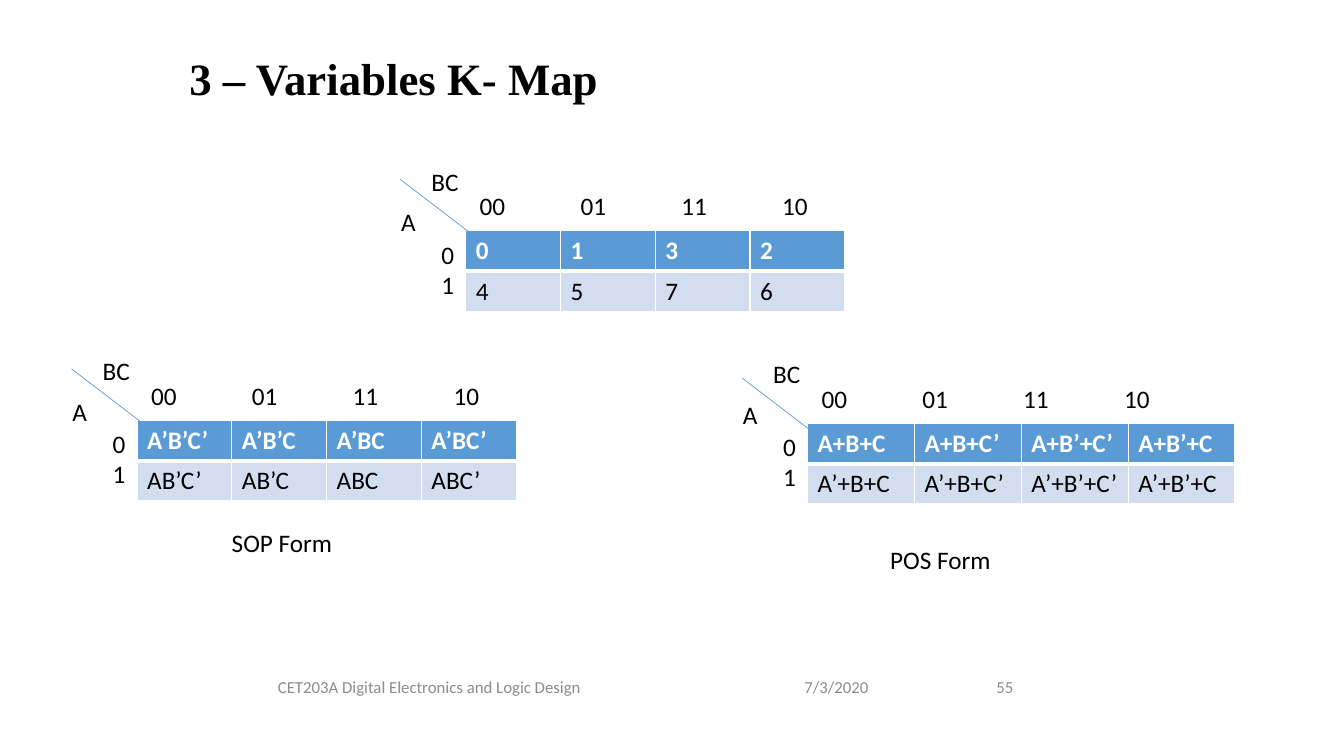
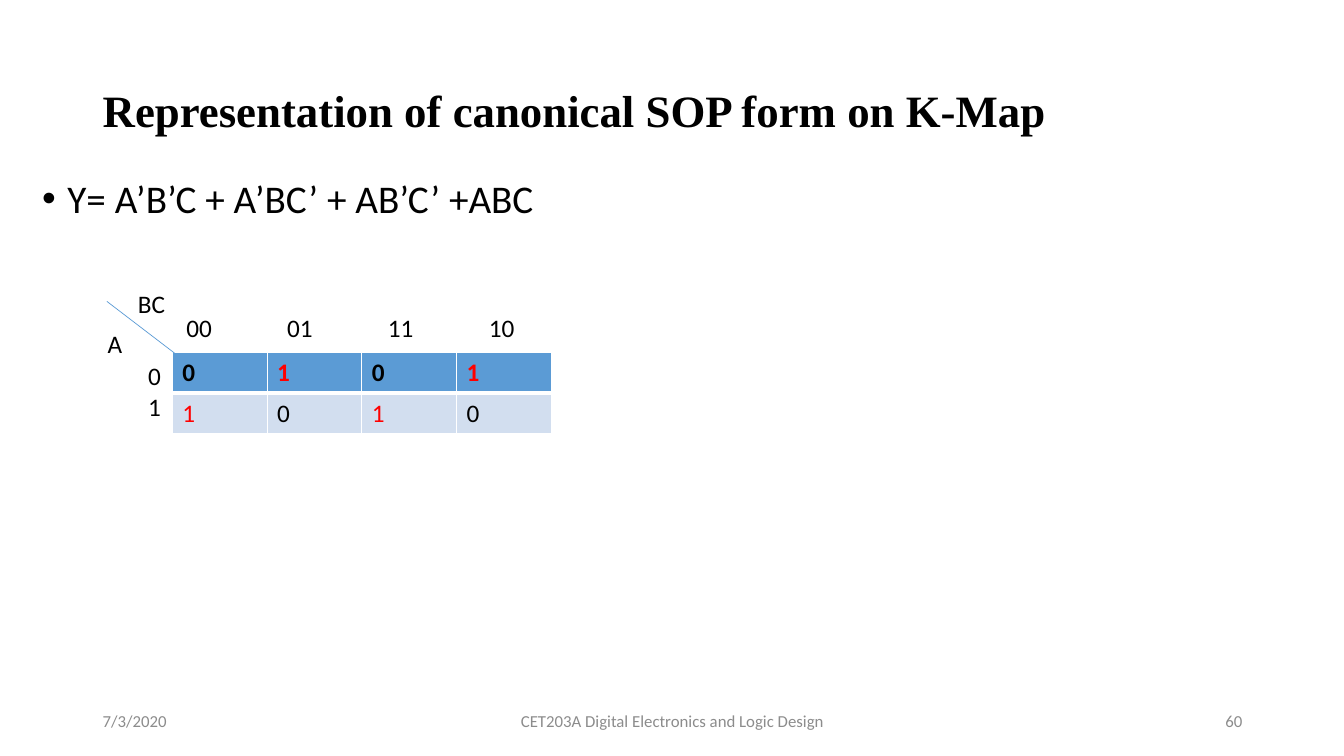
"""Build two slides on three-variable Karnaugh maps."""
from dataclasses import dataclass

from lxml.etree import SubElement
from pptx import Presentation
from pptx.dml.color import RGBColor as RGB
from pptx.enum.shapes import MSO_CONNECTOR as CONN
from pptx.enum.text import MSO_ANCHOR as ANCHOR, PP_ALIGN as ALIGN
from pptx.oxml.ns import qn
from pptx.util import Pt


@dataclass(frozen=True)
class Theme:
    ink: str = "000000"
    paper: str = "FFFFFF"
    mark: str = "FF0000"
    grey: str = "8C8C8C"
    head: str = "5B9BD5"
    band: str = "D2DEEF"
    face: str = "Calibri"
    title_face: str = "Times New Roman"
    title: int = 32
    body: int = 28
    label: int = 18
    footer: int = 12


T = Theme()
PX = 9144
TITLE = dict(size=T.title, face=T.title_face, bold=True, anchor=ANCHOR.MIDDLE, spacing=0.9)
FOOTER = dict(size=T.footer, color=T.grey, anchor=ANCHOR.MIDDLE)
COURSE = "CET203A Digital Electronics and Logic Design"
DATE = "7/3/2020"
LEFT, CENTER, RIGHT = ALIGN.LEFT, ALIGN.CENTER, ALIGN.RIGHT


def write(tf, text, size=T.label, face=T.face, color=T.ink, bold=False,
          anchor=ANCHOR.TOP, align=LEFT, spacing=1.0, tabs=(), bullet=0):
    tf.word_wrap = True
    tf.vertical_anchor = anchor
    for i, line in enumerate(text.split("\n")):
        p = tf.add_paragraph() if i else tf.paragraphs[0]
        for name, value in dict(alignment=align, line_spacing=spacing).items():
            setattr(p, name, value)
        pPr = p._p.get_or_add_pPr()
        if bullet:
            pPr.set("marL", str(bullet * PX))
            pPr.set("indent", str(-bullet * PX))
            SubElement(pPr, qn("a:buFont"), typeface="Arial")
            SubElement(pPr, qn("a:buChar"), char="•")
        if tabs:
            stops = SubElement(pPr, qn("a:tabLst"))
            for stop in tabs:
                SubElement(stops, qn("a:tab"), pos=str(stop * PX), algn="l")
        r = p.add_run()
        r.text = line
        for name, value in dict(size=Pt(size), name=face, bold=bold).items():
            setattr(r.font, name, value)
        r.font.color.rgb = RGB.from_string(color)


def kmap(s, x, y, col_w, rows, marked=False, drop=0):
    tbl = s.shapes.add_table(2, 4, x * PX, y * PX, 4 * col_w * PX, 80 * PX).table
    for name, value in dict(first_row=False, horz_banding=False).items():
        setattr(tbl, name, value)
    for col in tbl.columns:
        col.width = col_w * PX
    for i, row in enumerate(rows):
        for j, text in enumerate(row.split()):
            cell = tbl.cell(i, j)
            tcPr = cell._tc.get_or_add_tcPr()
            divider = "lnT" if i else "lnB"
            for side in ("lnL", "lnR", "lnT", "lnB"):
                width = 3 if side == divider else 1
                ln = SubElement(tcPr, qn(f"a:{side}"), w=str(Pt(width)))
                SubElement(SubElement(ln, qn("a:solidFill")), qn("a:srgbClr"), val=T.paper)
            cell.fill.solid()
            cell.fill.fore_color.rgb = RGB.from_string(T.band if i else T.head)
            if marked:
                color = T.mark if text == "1" else T.ink
            else:
                color = T.ink if i else T.paper
            write(cell.text_frame, text, color=color, bold=i == 0)
    ends = (x - 65, y - 51 + drop, x + 3, y + 1 + drop)
    ln = s.shapes.add_connector(CONN.STRAIGHT, *(v * PX for v in ends))
    ln.line.color.rgb = RGB.from_string(T.head)
    ln.line.width = Pt(0.5)
    SubElement(ln._element.spPr, qn("a:effectLst"))
    for text, dx, dy, w, h in (
        ("00\t01\t11\t10", 4, -45, 377, 40),
        ("BC", -44, -69, 53, 40),
        ("A", -74, -29, 40, 40),
        ("0\n1", -34, 3, 33, 71),
    ):
        box = s.shapes.add_textbox((x + dx) * PX, (y + dy) * PX, w * PX, h * PX)
        write(box.text_frame, text, tabs=(100, 200, 300) if "\t" in text else ())


SLIDES = (
    dict(
        texts=(
            ("3 – Variables K- Map", 178, 38, 1100, 85, TITLE),
            ("SOP Form", 220, 518, 198, 42, {}),
            ("POS Form", 873, 535, 198, 42, {}),
            (COURSE, 89, 661, 674, 40, FOOTER | dict(align=CENTER)),
            (DATE, 788, 661, 100, 40, FOOTER),
            ("55", 940, 661, 75, 40, FOOTER | dict(align=RIGHT)),
        ),
        maps=(
            dict(x=462, y=229, col_w=94, rows=("0 1 3 2", "4 5 7 6")),
            dict(x=136, y=417, col_w=94,
                 rows=("A’B’C’ A’B’C A’BC A’BC’", "AB’C’ AB’C ABC ABC’")),
            dict(x=801, y=420, col_w=106, drop=6,
                 rows=("A+B+C A+B+C’ A+B’+C’ A+B’+C", "A’+B+C A’+B+C’ A’+B’+C’ A’+B’+C")),
        ),
    ),
    dict(
        texts=(
            ("Representation of canonical SOP form on K-Map", 92, 40, 1150, 145, TITLE),
            ("Y= A’B’C + A’BC’ + AB’C’ +ABC", 32, 173, 1150, 476,
             dict(size=T.body, spacing=0.9, bullet=25)),
            (DATE, 92, 695, 300, 40, FOOTER),
            (COURSE, 442, 695, 450, 40, FOOTER | dict(align=CENTER)),
            ("60", 942, 695, 300, 40, FOOTER | dict(align=RIGHT)),
        ),
        maps=(dict(x=171, y=350, col_w=94, rows=("0 1 0 1", "1 0 1 0"), marked=True),),
    ),
)

prs = Presentation()
for name, value in dict(slide_width=1333, slide_height=750).items():
    setattr(prs, name, value * PX)

for content in SLIDES:
    s = prs.slides.add_slide(prs.slide_layouts[6])
    for text, x, y, w, h, style in content["texts"]:
        sp = s.shapes.add_textbox(x * PX, y * PX, w * PX, h * PX)
        write(sp.text_frame, text, **style)
    for grid in content["maps"]:
        kmap(s, **grid)

prs.save("out.pptx")
